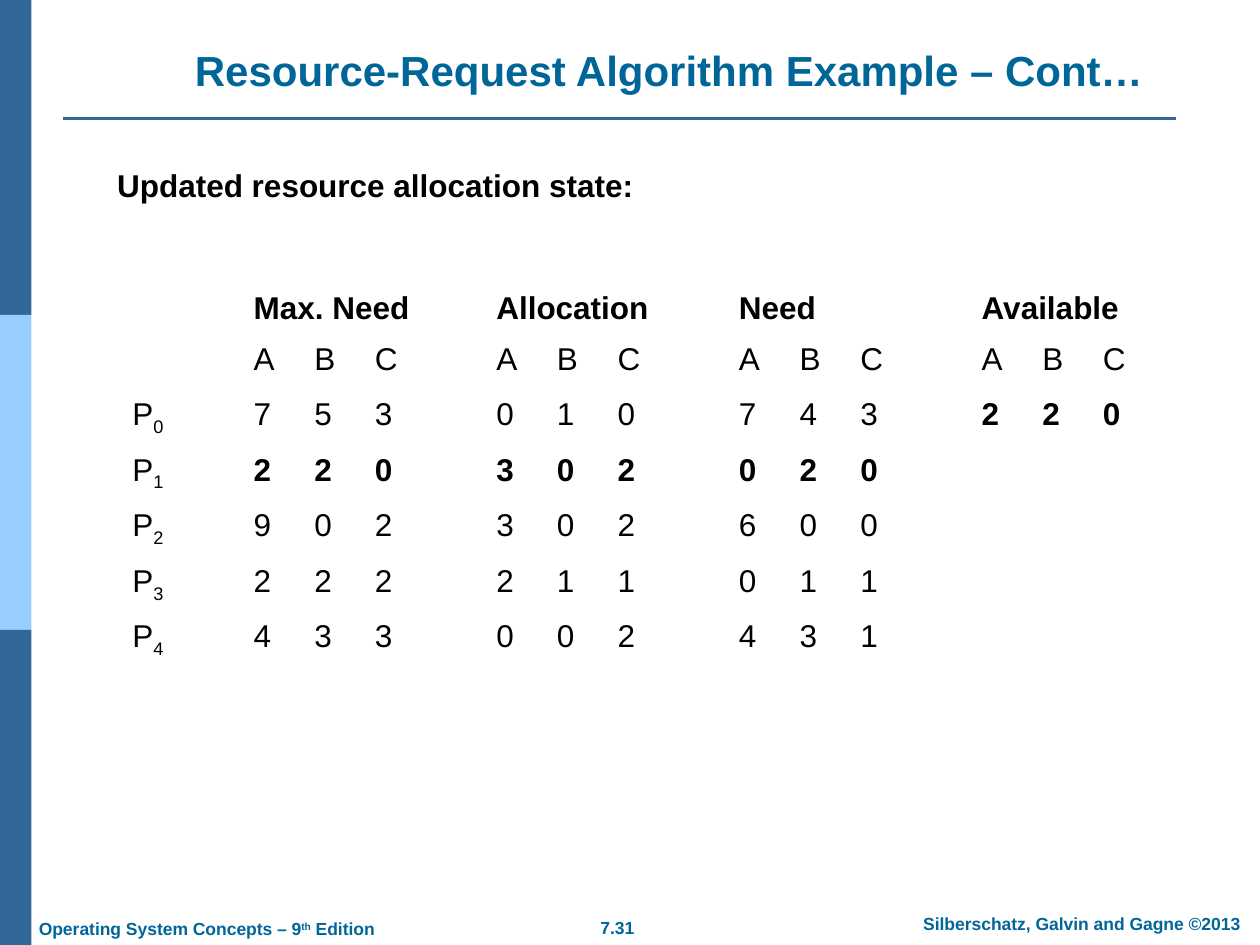
from dataclasses import dataclass

from lxml import etree
from pptx import Presentation
from pptx.dml.color import RGBColor
from pptx.enum.shapes import MSO_CONNECTOR, MSO_SHAPE
from pptx.enum.text import MSO_ANCHOR, MSO_AUTO_SIZE, PP_ALIGN
from pptx.oxml.ns import qn
from pptx.util import Inches, Pt

RECT = MSO_SHAPE.RECTANGLE
LINE = MSO_CONNECTOR.STRAIGHT
LEFT, CENTER = PP_ALIGN.LEFT, PP_ALIGN.CENTER
BOTTOM = MSO_ANCHOR.BOTTOM
FIXED = MSO_AUTO_SIZE.NONE


@dataclass(frozen=True)
class Theme:
    """Hold the colours, font and type sizes of the slide."""
    dark: str = "336699"
    light: str = "99CCFF"
    accent: str = "006699"
    ink: str = "000000"
    font: str = "Arial"
    title: int = 24
    body: int = 18
    foot: int = 10


THEME = Theme()
GROUPS = ("Max. Need", "Allocation", "Need", "Available")
STATE = (
    ("753", "010", "743", "220"),
    ("220", "302", "020"),
    ("902", "302", "600"),
    ("222", "211", "011"),
    ("433", "002", "431"),
)
BOLD = {(0, 3), (1, 0), (1, 1), (1, 2)}
FIRST, STEP, COLS = 2, 4, 17


def place(shape, left, top, width, height):
    """Move and size a shape in inches."""
    shape.left, shape.top = Inches(left), Inches(top)
    shape.width, shape.height = Inches(width), Inches(height)


def write(para, parts, size, color, bold=False, align=LEFT):
    """Fill a paragraph with (text, baseline) parts in one style."""
    para.alignment = align
    for text, base in parts:
        run = para.add_run()
        run.text = text
        font = run.font
        font.name, font.size, font.bold = THEME.font, Pt(size), bold
        font.color.rgb = RGBColor.from_string(color)
        if base:
            run._r.get_or_add_rPr().set("baseline", str(base * 1000))


def add_bars(slide):
    """Stack three bars down the left edge."""
    for i, color in enumerate((THEME.dark, THEME.light, THEME.dark)):
        bar = slide.shapes.add_shape(
            RECT, 0, Inches(2.5 * i), Inches(0.25), Inches(2.5))
        bar.shadow.inherit = False
        bar.fill.solid()
        bar.fill.fore_color.rgb = RGBColor.from_string(color)
        bar.line.fill.background()


def add_rule(slide):
    """Draw the line below the title."""
    rule = slide.shapes.add_connector(
        LINE, Inches(0.5), Inches(0.94), Inches(9.33), Inches(0.94))
    rule.line.color.rgb = RGBColor.from_string(THEME.dark)
    rule.line.width = Pt(1.5)
    etree.SubElement(rule._element.spPr, qn("a:effectLst"))


def add_foot(slide, box, parts, align):
    """Add one footer text."""
    shape = slide.shapes.add_textbox(0, 0, 0, 0)
    place(shape, *box)
    frame = shape.text_frame
    frame.word_wrap = True
    write(frame.paragraphs[0], parts, THEME.foot, THEME.accent, True, align)


def set_title(slide, text):
    """Fill the title placeholder."""
    title = slide.shapes.title
    place(title, 1.12, 0.17, 8.38, 0.63)
    frame = title.text_frame
    frame.auto_size, frame.vertical_anchor = FIXED, BOTTOM
    write(frame.paragraphs[0], [(text, 0)],
          THEME.title, THEME.accent, True, CENTER)


def set_body(slide, text):
    """Fill the body placeholder with a line without bullet."""
    body = slide.placeholders[1]
    place(body, 0.83, 1.27, 8.66, 5.49)
    frame = body.text_frame
    frame.auto_size = FIXED
    para = frame.paragraphs[0]
    props = para._p.get_or_add_pPr()
    props.set("marL", "0")
    props.set("indent", "0")
    etree.SubElement(props, qn("a:buNone"))
    para.space_before = Pt(0)
    write(para, [(text, 0)], THEME.body, THEME.ink, True)


def fill_cell(cell, parts, bold=False):
    """Write parts in a table cell."""
    write(cell.text_frame.paragraphs[0], parts, THEME.body, THEME.ink, bold)


def fill_trio(table, row, group, trio, bold=False):
    """Write three letters in the columns of a group."""
    for i, text in enumerate(trio):
        fill_cell(table.cell(row, FIRST + STEP * group + i),
                  [(text, 0)], bold)


def add_state(slide):
    """Add the table of resource states."""
    frame = slide.shapes.add_table(
        len(STATE) + 2, COLS, Inches(0.95), Inches(2.26),
        Inches(8.19), Inches(3.04))
    table = frame.table
    table.first_row = table.horz_banding = False
    for col in table.columns:
        col.width = Inches(8.19 / COLS)
    for i, row in enumerate(table.rows):
        row.height = Inches(0.44 if i else 0.4)
    for cell in table.iter_cells():
        cell.fill.background()
    for group, name in enumerate(GROUPS):
        col = FIRST + STEP * group
        head = table.cell(0, col)
        head.merge(table.cell(0, col + 2))
        fill_cell(head, [(name, 0)], True)
        fill_trio(table, 1, group, "ABC")
    for i, trios in enumerate(STATE):
        fill_cell(table.cell(i + 2, 0), [("P", 0), (str(i), -25)])
        for group, trio in enumerate(trios):
            fill_trio(table, i + 2, group, trio, (i, group) in BOLD)


def main():
    """Build and save the slide."""
    deck = Presentation()
    deck.slide_width, deck.slide_height = Inches(10), Inches(7.5)
    slide = deck.slides.add_slide(deck.slide_layouts[1])
    add_bars(slide)
    add_rule(slide)
    add_foot(slide, (4.41, 7.23, 0.98, 0.27), [("7.31", 0)], CENTER)
    add_foot(slide, (7.1, 7.2, 2.97, 0.27),
             [("Silberschatz, Galvin and Gagne ©2013", 0)], CENTER)
    add_foot(slide, (0.21, 7.24, 3, 0.27),
             [("Operating System Concepts – 9", 0), ("th", 30),
              (" Edition", 0)], LEFT)
    set_title(slide, "Resource-Request Algorithm Example – Cont…")
    set_body(slide, "Updated resource allocation state:")
    add_state(slide)
    deck.save("out.pptx")


if __name__ == "__main__":
    main()
